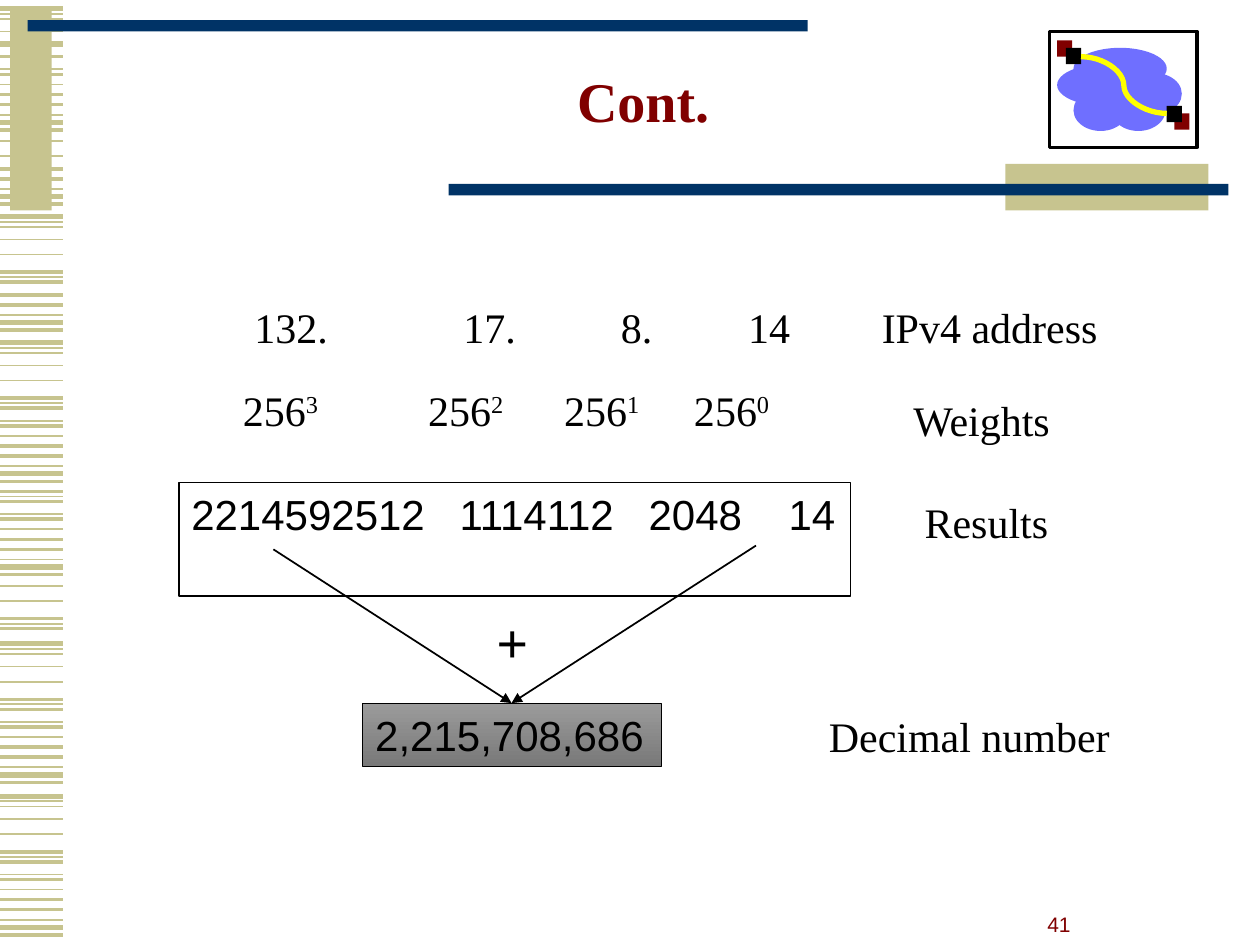
import pptx
import pptx.util
import pptx.dml.color
import pptx.enum.shapes
import pptx.enum.text
import pptx.oxml
import pptx.oxml.ns

Inches, Pt = pptx.util.Inches, pptx.util.Pt
RGBColor = pptx.dml.color.RGBColor
MSO_SHAPE = pptx.enum.shapes.MSO_SHAPE
PP_ALIGN = pptx.enum.text.PP_ALIGN
MSO_ANCHOR = pptx.enum.text.MSO_ANCHOR

KHAKI = RGBColor(0xC7, 0xC4, 0x8F)
NAVY = RGBColor(0x00, 0x33, 0x66)
MAROON = RGBColor(0x80, 0x00, 0x00)
CLOUD = RGBColor(0x6F, 0x6F, 0xFF)
YELLOW = RGBColor(0xFF, 0xFF, 0x00)
BLACK = RGBColor(0x00, 0x00, 0x00)
WHITE = RGBColor(0xFF, 0xFF, 0xFF)
GREY_TOP = RGBColor(0x9B, 0x9B, 0x9B)
GREY_BOTTOM = RGBColor(0x79, 0x79, 0x79)
SERIF, SANS = "Times New Roman", "Arial"


def write(shape, text, size=24, font=SERIF, color=BLACK, bold=False, tabs=()):
    """Write one paragraph; every second part between ^ marks is raised."""
    frame = shape.text_frame
    frame.word_wrap = True
    paragraph = frame.paragraphs[0]
    paragraph.alignment = PP_ALIGN.LEFT
    if tabs:
        tab_list = pptx.oxml.parse_xml(
            "<a:tabLst %s/>" % pptx.oxml.ns.nsdecls("a"))
        for position in tabs:
            tab = tab_list.makeelement(pptx.oxml.ns.qn("a:tab"), {
                "pos": str(Inches(position)), "algn": "l"})
            tab_list.append(tab)
        paragraph._p.get_or_add_pPr().append(tab_list)
    for i, part in enumerate(text.split("^")):
        if not part:
            continue
        run = paragraph.add_run()
        run.text = part
        run.font.size = Pt(size)
        run.font.name = font
        run.font.bold = bold
        run.font.color.rgb = color
        if i % 2:
            run._r.get_or_add_rPr().set("baseline", "30000")
    return paragraph


def add_line(shapes, start, end, color, width):
    line = shapes.add_connector(
        pptx.enum.shapes.MSO_CONNECTOR.STRAIGHT,
        *(Inches(v) for v in (*start, *end)))
    line.line.color.rgb = color
    line.line.width = Pt(width)
    line._element.spPr.append(pptx.oxml.parse_xml(
        "<a:effectLst %s/>" % pptx.oxml.ns.nsdecls("a")))
    return line


prs = pptx.Presentation()
prs.slide_width, prs.slide_height = Inches(10), Inches(7.5)
slide = prs.slides.add_slide(prs.slide_layouts[5])

# Striped margin: one band of (offset, weight), repeated whole or in part
band = [(0, 3), (0.04, 1), (0.08, 1), (0.18, 1), (0.3, 1), (0.44, 2),
        (0.48, 1), (0.52, 2), (0.62, 1), (0.66, 2), (0.74, 1), (0.82, 2),
        (0.9, 2), (0.98, 1), (1.04, 3), (1.1, 2)]
band_uses = [(0.07, 0, 4), (0.35, 0, 1), (-0.07, 7, 16), (0.94, 3, 5),
             (0.52, 11, 16), (1.72, 0, 8), (1.52, 11, 16), (2.72, 0, 16),
             (3.46, 5, 16), (4.47, 3, 8), (5.11, 0, 16), (6.32, 0, 16)]
stripes = slide.shapes.add_group_shape().shapes
for top, first, stop in band_uses:
    for offset, weight in band[first:stop]:
        add_line(stripes, (0, top + offset), (0.5, top + offset), KHAKI, weight)

# Header bars and network icon
RECT, OVAL = MSO_SHAPE.RECTANGLE, MSO_SHAPE.OVAL
icon = slide.shapes.add_group_shape().shapes
parts = [
    (slide.shapes, RECT, (0.08, 0.08, 0.33, 1.59), KHAKI),
    (slide.shapes, RECT, (0.22, 0.16, 6.19, 0.09), NAVY),
    (slide.shapes, RECT, (7.98, 1.3, 1.61, 0.37), KHAKI),
    (slide.shapes, RECT, (3.56, 1.46, 6.19, 0.09), NAVY),
    (icon, RECT, (8.33, 0.25, 1.17, 0.92), WHITE),
    (icon, RECT, (9.32, 0.9, 0.12, 0.13), MAROON),
    (icon, OVAL, (8.39, 0.51, 0.74, 0.33), CLOUD),
    (icon, OVAL, (8.52, 0.38, 0.74, 0.33), CLOUD),
    (icon, OVAL, (8.52, 0.71, 0.43, 0.33), CLOUD),
    (icon, OVAL, (8.82, 0.71, 0.43, 0.33), CLOUD),
    (icon, OVAL, (8.82, 0.58, 0.43, 0.33), CLOUD),
    (icon, OVAL, (8.95, 0.58, 0.43, 0.33), CLOUD),
    (icon, RECT, (8.39, 0.32, 0.12, 0.13), MAROON),
    (icon, RECT, (8.46, 0.38, 0.12, 0.13), BLACK),
    (icon, RECT, (9.26, 0.84, 0.12, 0.13), BLACK),
]
for parent, kind, box, fill in parts:
    part = parent.add_shape(kind, *(Inches(v) for v in box))
    part.shadow.inherit = False
    part.fill.solid()
    part.fill.fore_color.rgb = fill
    if fill == WHITE:
        part.line.color.rgb = BLACK
        part.line.width = Pt(2)
    else:
        part.line.fill.background()

# Cable through the cloud: two cubic curves
curves = [((8.58, 0.45), (8.75, 0.45), (8.92, 0.56), (8.92, 0.68)),
          ((8.92, 0.68), (8.92, 0.79), (9.09, 0.9), (9.26, 0.9))]
cable_points = []
for curve in curves:
    for step in range(13):
        t = step / 12
        weights = ((1 - t) ** 3, 3 * t * (1 - t) ** 2, 3 * t * t * (1 - t), t ** 3)
        cable_points.append(tuple(
            Inches(sum(w * point[axis] for w, point in zip(weights, curve)))
            for axis in (0, 1)))
builder = icon.build_freeform(*cable_points[0])
builder.add_line_segments(cable_points[1:], close=False)
cable = builder.convert_to_shape()
cable.shadow.inherit = False
cable.fill.background()
cable.line.color.rgb = YELLOW
cable.line.width = Pt(3)

# Title
title = slide.shapes.title
title.left, title.top = Inches(0.5), Inches(0)
title.width, title.height = Inches(9.25), Inches(1.67)
title.text_frame.vertical_anchor = MSO_ANCHOR.MIDDLE
title.text_frame.margin_left = Inches(0.1)
title.text_frame.margin_right = Inches(0.14)
heading = write(title, "Cont.", 32, color=MAROON, bold=True)
heading.alignment = PP_ALIGN.CENTER
heading.line_spacing = 0.85

# Address and weight rows, with the row labels
rows = [
    ((1.58, 2.34, 4.83), "\t132.\t17.\t8.\t14", (0.34, 2, 3.25, 4.26)),
    ((1.58, 3, 5), "\t256^3^\t256^2^\t256^1^\t256^0", (0.25, 1.72, 2.8, 3.83)),
    ((6.9, 2.34, 1.93), "IPv4 address", ()),
    ((7.15, 3.08, 1.35), "Weights", ()),
    ((7.24, 3.89, 1.26), "Results", ()),
    ((6.48, 5.59, 2.57), "Decimal number", ()),
]
for box, text, tabs in rows:
    row = slide.shapes.add_textbox(*(Inches(v) for v in (*box, 0.5)))
    write(row, text, tabs=tabs)

# Products of the bytes and their sum
products = slide.shapes.add_shape(
    RECT, Inches(1.42), Inches(3.83), Inches(5.33), Inches(0.9))
products.fill.solid()
products.fill.fore_color.rgb = WHITE
total = slide.shapes.add_shape(
    RECT, Inches(2.88), Inches(5.58), Inches(2.37), Inches(0.5))
total.fill.gradient()
total.fill.gradient_angle = 270
for stop, color in zip(total.fill.gradient_stops, (GREY_TOP, GREY_BOTTOM)):
    stop.color.rgb = color
for result, text, tabs, width in (
        (products, "2214592512\t1114112\t2048\t14", (2.13, 3.63, 4.74), 1),
        (total, "2,215,708,686", (), 0.5)):
    result.shadow.inherit = False
    result.line.color.rgb = BLACK
    result.line.width = Pt(width)
    result.text_frame.vertical_anchor = MSO_ANCHOR.TOP
    write(result, text, font=SANS, tabs=tabs)

# Arrows to the sum
for start in ((2.17, 4.36), (6, 4.33)):
    arrow = add_line(slide.shapes, start, (4.06, 5.58), BLACK, 1)
    arrow.line._get_or_add_ln().append(pptx.oxml.parse_xml(
        '<a:tailEnd %s type="triangle"/>' % pptx.oxml.ns.nsdecls("a")))

# Plus sign and page number
plus = slide.shapes.add_textbox(
    Inches(3.84), Inches(4.77), Inches(0.45), Inches(0.64))
write(plus, "+", 32, bold=True)
plus.text_frame.word_wrap = False
page_number = slide.shapes.add_textbox(
    Inches(8.25), Inches(7.17), Inches(0.31), Inches(0.31))
write(page_number, "41", 12, SANS, MAROON).alignment = PP_ALIGN.CENTER
page_number.text_frame.word_wrap = False
page_number.text_frame.margin_left = page_number.text_frame.margin_right = 0
page_number.text_frame.vertical_anchor = MSO_ANCHOR.BOTTOM

prs.save("out.pptx")
